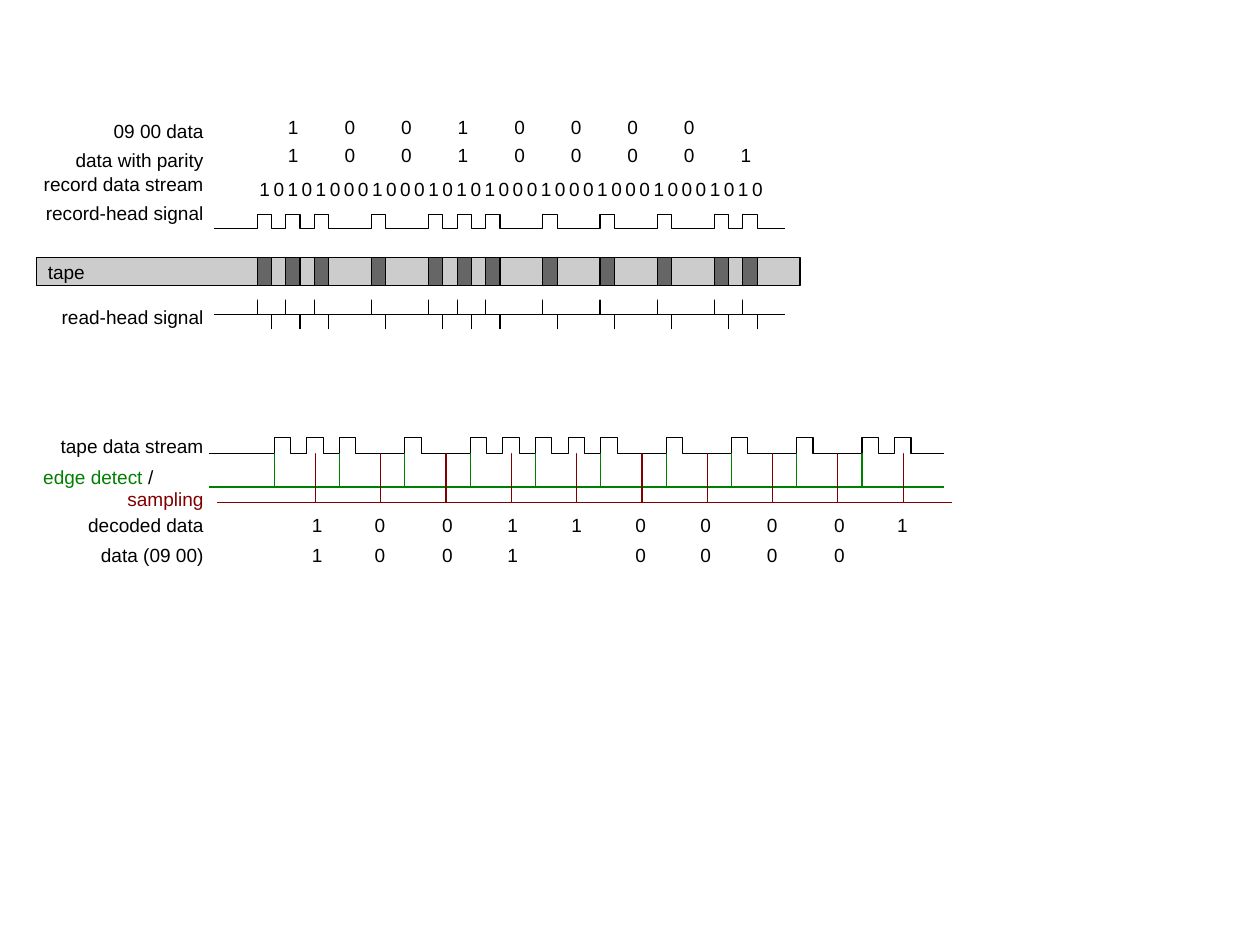
from pptx import Presentation
from pptx import util as u
from pptx.dml.color import RGBColor
from pptx.enum import shapes, text

PX = 9144  # 100 px to the inch
BLACK = RGBColor(0x00, 0x00, 0x00)
GREEN = RGBColor(0x00, 0x80, 0x00)
RED = RGBColor(0x80, 0x00, 0x00)
LIGHT = RGBColor(0xCC, 0xCC, 0xCC)
DARK = RGBColor(0x66, 0x66, 0x66)
LEFT, RIGHT = text.PP_ALIGN.LEFT, text.PP_ALIGN.RIGHT

SENT = "101010001000101010001000100010001010"
READ = "1010100010001010101010001000100010001010"
BIT = 12.5
READ_BIT = 100 / 7
CELL = 4 * READ_BIT  # one decoded bit spans four stream bits


def emu(*vals):
    return [round(v * PX) for v in vals]


def ones(bits, start, step):
    """Left edges of the pulses in a bit stream."""
    return [start + i * step for i, bit in enumerate(bits) if bit == "1"]


def write(para, words, color=BLACK, gap=0):
    run = para.add_run()
    run.text = words
    for key, val in {"name": "Arial", "size": u.Pt(12)}.items():
        setattr(run.font, key, val)
    run.font.color.rgb = color
    if gap:
        run.font._element.set("spc", str(round(gap * 100)))


def add_box(slide, x, y, w, h=29, pad=10):
    frame = slide.shapes.add_textbox(*emu(x, y, w, h)).text_frame
    look = {
        "word_wrap": True,
        "auto_size": text.MSO_AUTO_SIZE.SHAPE_TO_FIT_TEXT,
        "margin_left": pad * PX, "margin_right": 10 * PX,
        "margin_top": 5 * PX, "margin_bottom": 5 * PX,
    }
    for key, val in look.items():
        setattr(frame, key, val)
    return frame


def label(slide, x, y, w, words, align=LEFT, gap=0, pad=10):
    para = add_box(slide, x, y, w, pad=pad).paragraphs[0]
    para.alignment = align
    write(para, words, gap=gap)


def trace(slide, points, color=BLACK):
    """Draw an open hairline through the points."""
    first, *rest = [emu(*point) for point in points]
    build = slide.shapes.build_freeform(*first, scale=1.0)
    build.add_line_segments(rest, close=False)
    line = build.convert_to_shape()
    line.shadow.inherit = False
    line.fill.background()
    line.line.color.rgb = color
    line.line.width = 0


def wave(slide, x, end, base, high, rises, step):
    points = [(x, base)]
    for rise in rises:
        fall = rise + step
        points += [(rise, base), (rise, base - high),
                   (fall, base - high), (fall, base)]
    trace(slide, points + [(end, base)])


def spikes(slide, x, end, base, ticks, color=BLACK):
    """Draw a base line with a vertical tick to each (x, y) tip."""
    points = [(x, base)]
    for tick, tip in ticks:
        points += [(tick, base), (tick, tip), (tick, base)]
    trace(slide, points + [(end, base)], color)


def block(slide, x, y, w, h, fill):
    rect = slide.shapes.add_shape(
        shapes.MSO_SHAPE.RECTANGLE, *emu(x, y, w, h))
    rect.shadow.inherit = False
    rect.fill.solid()
    rect.fill.fore_color.rgb = fill
    rect.line.color.rgb = BLACK
    rect.line.width = 0
    return rect


def tape(slide, x, y, w, h, rises):
    frame = block(slide, x, y, w, h, LIGHT).text_frame
    frame.vertical_anchor = text.MSO_ANCHOR.MIDDLE
    frame.paragraphs[0].alignment = LEFT
    write(frame.paragraphs[0], "tape")
    for rise in rises:
        block(slide, rise, y, BIT, h, DARK)


def record(slide, x, y):
    """Data, record stream, tape and read-head signal."""
    names = {"09 00 data": 4, "data with parity": 29,
             "record data stream": 50, "record-head signal": 75,
             "read-head signal": 166}
    for name, top in names.items():
        label(slide, x, y + top, 163, name, RIGHT)
    for bits, left, top, w, gap in (("10010000", 212, 0, 450, 29),
                                    ("100100001", 212, 25, 450, 29),
                                    (SENT, 187, 54, 475, 2.2)):
        label(slide, x + left, y + top, w, bits, gap=gap, pad=15)

    rises = ones(SENT, x + 200, BIT)
    start, end, mid = x + 162, x + 662, y + 179
    wave(slide, start, end, y + 104, BIT, rises, BIT)
    tape(slide, x + 7, y + 129, 668, 25, rises)
    ticks = []
    for rise in rises:
        ticks += [(rise, mid - BIT), (rise + BIT, mid + BIT)]
    spikes(slide, start, end, mid, ticks)


def decode(slide, x, y):
    """Tape stream, edge detection, sampling and decoded bits."""
    base = y + 22
    rises = ones(READ, x + 215, READ_BIT)
    wave(slide, x + 158, x + 801, base, 14, rises, READ_BIT)
    for left, first, low, color in ((158, 215, 51, GREEN),
                                    (165, 251, 65, RED)):
        ticks = [(x + first + i * CELL, base) for i in range(10)]
        spikes(slide, x + left, x + left + 643, y + low, ticks, color)

    for name, top in {"tape data stream": 0, "decoded data": 69,
                      "data (09 00)": 96}.items():
        label(slide, x, y + top, 163, name, RIGHT)
    frame = add_box(slide, x + 3, y + 27, 160, 47)
    write(frame.paragraphs[0], "edge detect ", GREEN)
    write(frame.paragraphs[0], "/")
    para = frame.add_paragraph()
    para.alignment = RIGHT
    write(para, "sampling", RED)

    spots = 238, 293, 352, 409, 465, 521, 578, 636, 695, 750
    for top, bits in ((69, "1001100001"), (96, "1001 0000")):
        for spot, bit in zip(spots, bits):
            if bit != " ":
                label(slide, x + spot, y + top, 25, bit)


def main():
    deck = Presentation()
    deck.slide_width, deck.slide_height = u.Cm(28), u.Cm(21)
    slide = deck.slides.add_slide(deck.slide_layouts[6])
    record(slide, 25, 96)
    decode(slide, 25, 375)
    deck.save("out.pptx")


if __name__ == "__main__":
    main()
